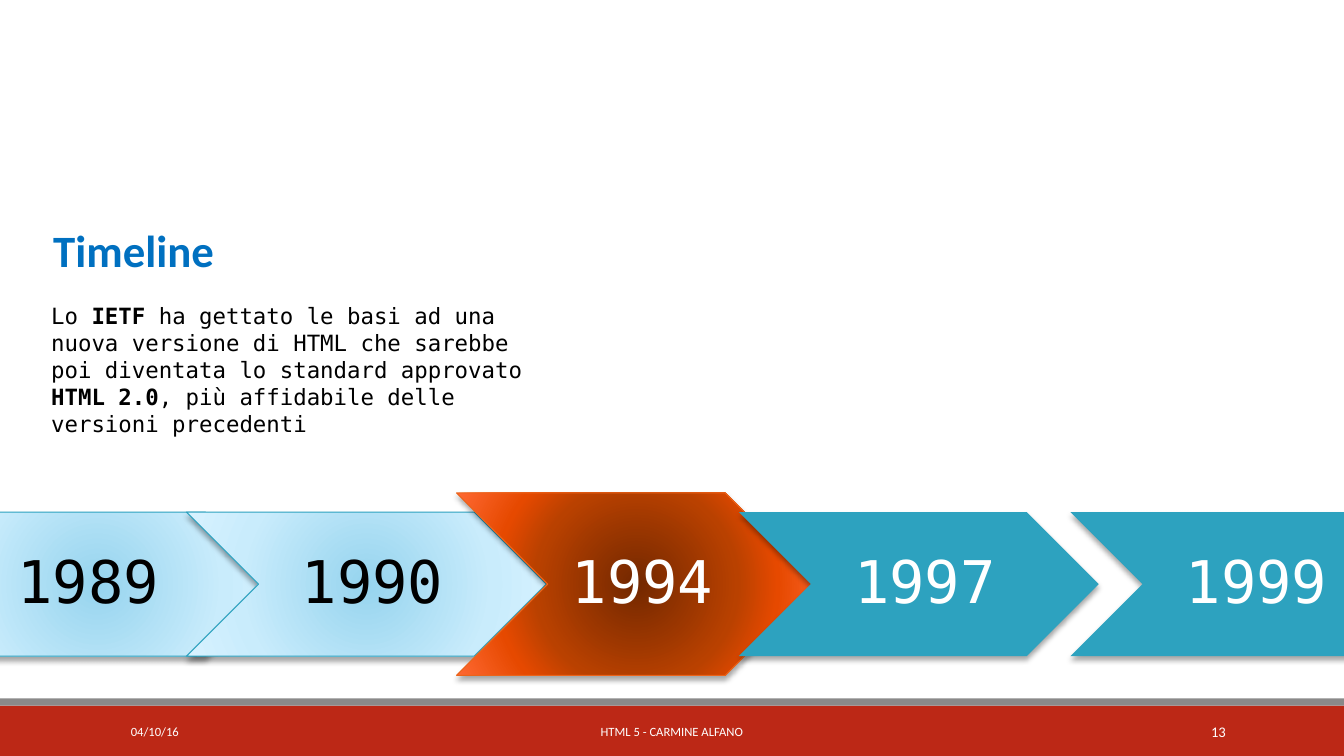
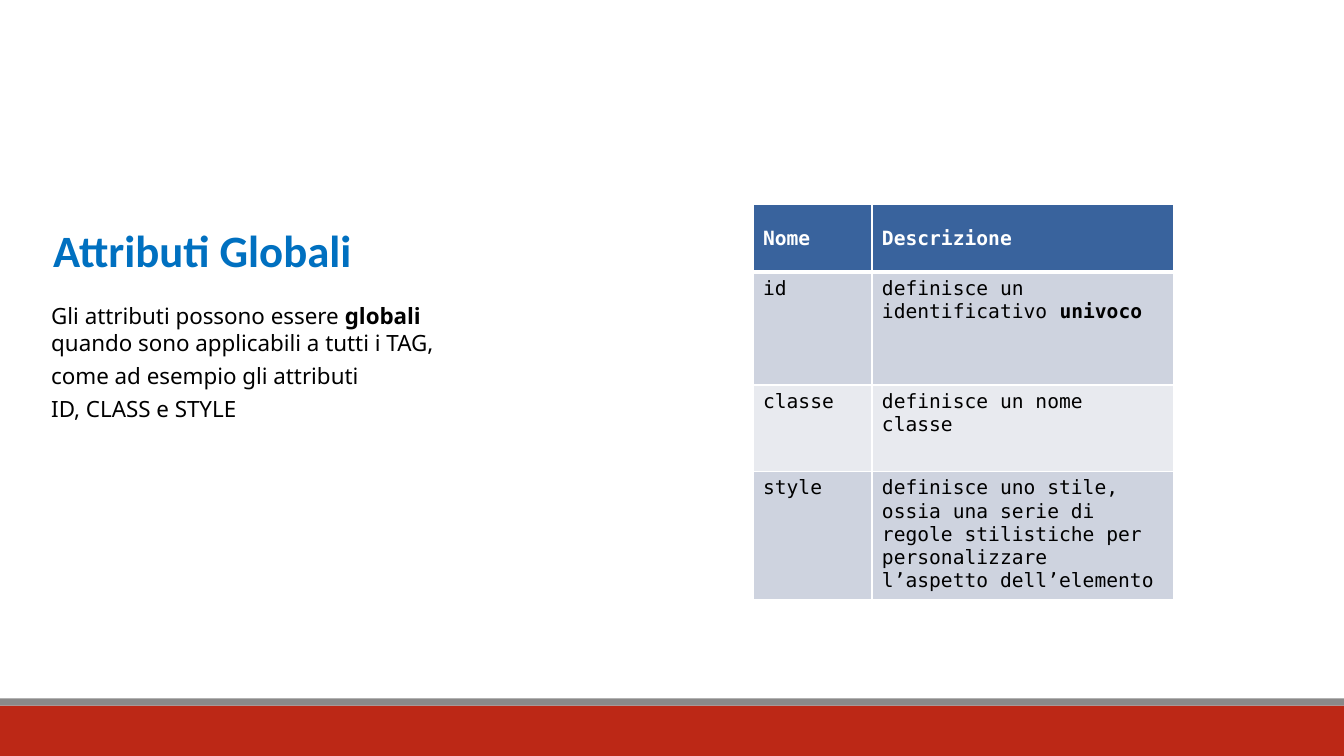
from dataclasses import dataclass

from pptx import Presentation
from pptx.dml.color import RGBColor
from pptx.enum.shapes import MSO_SHAPE
from pptx.enum.text import MSO_ANCHOR, PP_ALIGN
from pptx.oxml import parse_xml
from pptx.oxml.ns import nsdecls, qn
from pptx.util import Inches, Pt

COLS, ROWS, UNIT = 160, 90, 1 / 12


@dataclass(frozen=True)
class Theme:
    white: str = "FFFFFF"
    black: str = "000000"
    red: str = "BC2816"
    grey: str = "8A8989"
    blue: str = "0070C0"
    teal: str = "2DA2BF"
    orange: str = "EB641B"
    head: str = "39639D"
    bands: tuple = ("CED3DF", "E8EAEF")
    past: tuple = ((0, "96D4EE"), (65, "C9ECFC"), (100, "D7F2FF"))
    now: tuple = ((0, "732800"), (50, "B94100"), (70, "E64900"), (100, "FF6933"))
    sans: str = "Calibri"
    mono: str = "DejaVu Sans Mono"
    noto: str = "Noto Sans"
    title: float = 32
    body: float = 16
    lead: float = 19.3
    cell: float = 14
    year: float = 42
    foot: float = 9
    page: float = 10.5


class Deck:
    """Draws slides on a grid of 160 columns and 90 rows in one shared style."""

    def __init__(self, theme):
        self.theme = theme
        self.prs = Presentation()
        self.prs.slide_width = self.size(COLS)
        self.prs.slide_height = self.size(ROWS)
        self.slide = None

    def size(self, cells):
        return Inches(cells * UNIT)

    def place(self, *box):
        return [self.size(n) for n in box]

    def put(self, para, text, name, size, color, bold=None, align=None):
        for i, piece in enumerate(text.split("*")):
            for j, part in enumerate(piece.split("\n")):
                if j:
                    para.add_line_break()
                if part:
                    run = para.add_run()
                    run.text = part
                    if i % 2:
                        run.font.bold = True
        font = para.font
        font.name, font.size, font.bold = name, Pt(size), bold
        font.color.rgb = RGBColor.from_string(color)
        para.alignment = align

    def text(self, box, lines, *style, anchor=MSO_ANCHOR.TOP, lead=None, **more):
        frame = self.slide.shapes.add_textbox(*self.place(*box)).text_frame
        frame.word_wrap = True
        frame.vertical_anchor = anchor
        for i, line in enumerate(lines):
            para = frame.add_paragraph() if i else frame.paragraphs[0]
            if i:
                para.space_before = Pt(4)
            if lead:
                para.line_spacing = Pt(lead)
            self.put(para, line, *style, **more)

    def shape(self, kind, box, fill):
        item = self.slide.shapes.add_shape(kind, *self.place(*box))
        item.shadow.inherit = False
        item.fill.solid()
        item.fill.fore_color.rgb = RGBColor.from_string(fill)
        item.line.fill.background()
        return item

    def page(self, title):
        look = self.theme
        self.slide = self.prs.slides.add_slide(self.prs.slide_layouts[6])
        self.shape(MSO_SHAPE.RECTANGLE, (0, 84, COLS, 6), look.red)
        self.shape(MSO_SHAPE.RECTANGLE, (0, 83.16, COLS, 0.84), look.grey)
        self.text((5.16, 18.6, 59.5, 14.9), [title], look.sans, look.title,
                  look.blue, bold=True, anchor=MSO_ANCHOR.BOTTOM)

    def body(self, lines, name, rows):
        look = self.theme
        self.text((4.92, 35.4, 59.6, rows), lines, name, look.body,
                  look.black, lead=look.lead)

    def foot(self, date, note, page):
        look = self.theme
        for left, wide, text, size, align in (
            (14.4, 32.4, date, look.foot, PP_ALIGN.LEFT),
            (48.36, 63.24, note, look.foot, PP_ALIGN.CENTER),
            (129.96, 17.16, page, look.page, PP_ALIGN.RIGHT),
        ):
            self.text((left, 84.72, wide, 4.8), [text], look.sans, size,
                      look.white, align=align, anchor=MSO_ANCHOR.MIDDLE)

    def glow(self, item, stops, edge):
        marks = "".join(
            f'<a:gs pos="{pos * 1000}"><a:srgbClr val="{color}"/></a:gs>'
            for pos, color in stops)
        fill = parse_xml(
            f'<a:gradFill {nsdecls("a")} rotWithShape="1"><a:gsLst>{marks}</a:gsLst>'
            '<a:path path="circle"><a:fillToRect l="50000" t="50000" '
            'r="50000" b="50000"/></a:path></a:gradFill>')
        props = item._element.spPr
        props.replace(props.find(qn("a:solidFill")), fill)
        item.line.color.rgb = RGBColor.from_string(edge)
        item.line.width = Pt(0.75)

    def shade(self, item):
        item._element.spPr.find(qn("a:effectLst")).append(parse_xml(
            f'<a:outerShdw {nsdecls("a")} blurRad="50800" dist="38100" '
            'dir="5400000" rotWithShape="0"><a:srgbClr val="000000">'
            '<a:alpha val="35000"/></a:srgbClr></a:outerShdw>'))

    def arrow(self, left, year, color, stops=None, edge=None, tall=17.16,
              kind=MSO_SHAPE.CHEVRON, pad=0.18):
        look = self.theme
        item = self.shape(kind, (left, 69.54 - tall / 2, 42.84, tall), look.teal)
        if stops:
            self.glow(item, stops, edge)
        self.shade(item)
        frame = item.text_frame
        frame.vertical_anchor = MSO_ANCHOR.MIDDLE
        frame.margin_left, frame.margin_right = Inches(pad), Inches(0.06)
        frame.margin_top = frame.margin_bottom = Inches(0.12)
        para = frame.paragraphs[0]
        para.line_spacing = 0.9
        self.put(para, year, look.mono, look.year, color, align=PP_ALIGN.CENTER)

    def edges(self, cell, top, base):
        props = cell._tc.get_or_add_tcPr()
        for side, width in (("L", 1), ("R", 1), ("T", top), ("B", base)):
            props.append(parse_xml(
                f'<a:ln{side} {nsdecls("a")} w="{Pt(width)}"><a:solidFill>'
                f'<a:srgbClr val="{self.theme.white}"/></a:solidFill></a:ln{side}>'))

    def table(self, left, top, cols, rows, data):
        look = self.theme
        box = self.place(left, top, sum(cols), sum(rows))
        grid = self.slide.shapes.add_table(len(rows), len(cols), *box).table
        for col, wide in zip(grid.columns, cols):
            col.width = self.size(wide)
        for i, (row, tall, texts) in enumerate(zip(grid.rows, rows, data)):
            row.height = self.size(tall)
            for cell, text in zip(row.cells, texts):
                head = i == 0
                self.edges(cell, 3 if i == 1 else 1, 3 if head else 1)
                cell.fill.solid()
                fill = look.head if head else look.bands[(i - 1) % 2]
                cell.fill.fore_color.rgb = RGBColor.from_string(fill)
                cell.vertical_anchor = MSO_ANCHOR.MIDDLE if head else MSO_ANCHOR.TOP
                self.put(cell.text_frame.paragraphs[0], text, look.mono, look.cell,
                         look.white if head else look.black, bold=head)


def main():
    look = Theme()
    deck = Deck(look)

    deck.page("Timeline")
    deck.foot("04/10/16", "HTML 5 - CARMINE ALFANO", "13")
    deck.arrow(-9.84, "1989", look.black, look.past, look.teal,
               kind=MSO_SHAPE.PENTAGON, pad=0.24)
    deck.arrow(22.2, "1990", look.black, look.past, look.teal)
    deck.arrow(54.36, "1994", look.white, look.now, look.orange, tall=21.72)
    deck.arrow(87.96, "1997", look.white)
    deck.arrow(127.44, "1999", look.white)
    deck.body(["Lo *IETF* ha gettato le basi ad una nuova versione di HTML che "
               "sarebbe poi diventata lo standard approvato *HTML 2.0*, più "
               "affidabile delle versioni precedenti"], look.mono, 41.5)

    deck.page("Attributi Globali")
    deck.body(["Gli attributi possono essere *globali*\n"
               "quando sono applicabili a tutti i TAG,",
               "come ad esempio gli attributi",
               "ID, CLASS e STYLE"], look.noto, 45)
    deck.table(89.64, 24.36, (14.16, 35.88), (8.04, 13.44, 10.32, 14.4), (
        ("Nome", "Descrizione"),
        ("id", "definisce un identificativo *univoco*"),
        ("classe", "definisce un nome classe"),
        ("style", "definisce uno stile, ossia una serie di regole stilistiche "
                  "per personalizzare l’aspetto dell’elemento"),
    ))

    deck.prs.save("out.pptx")


if __name__ == "__main__":
    main()
